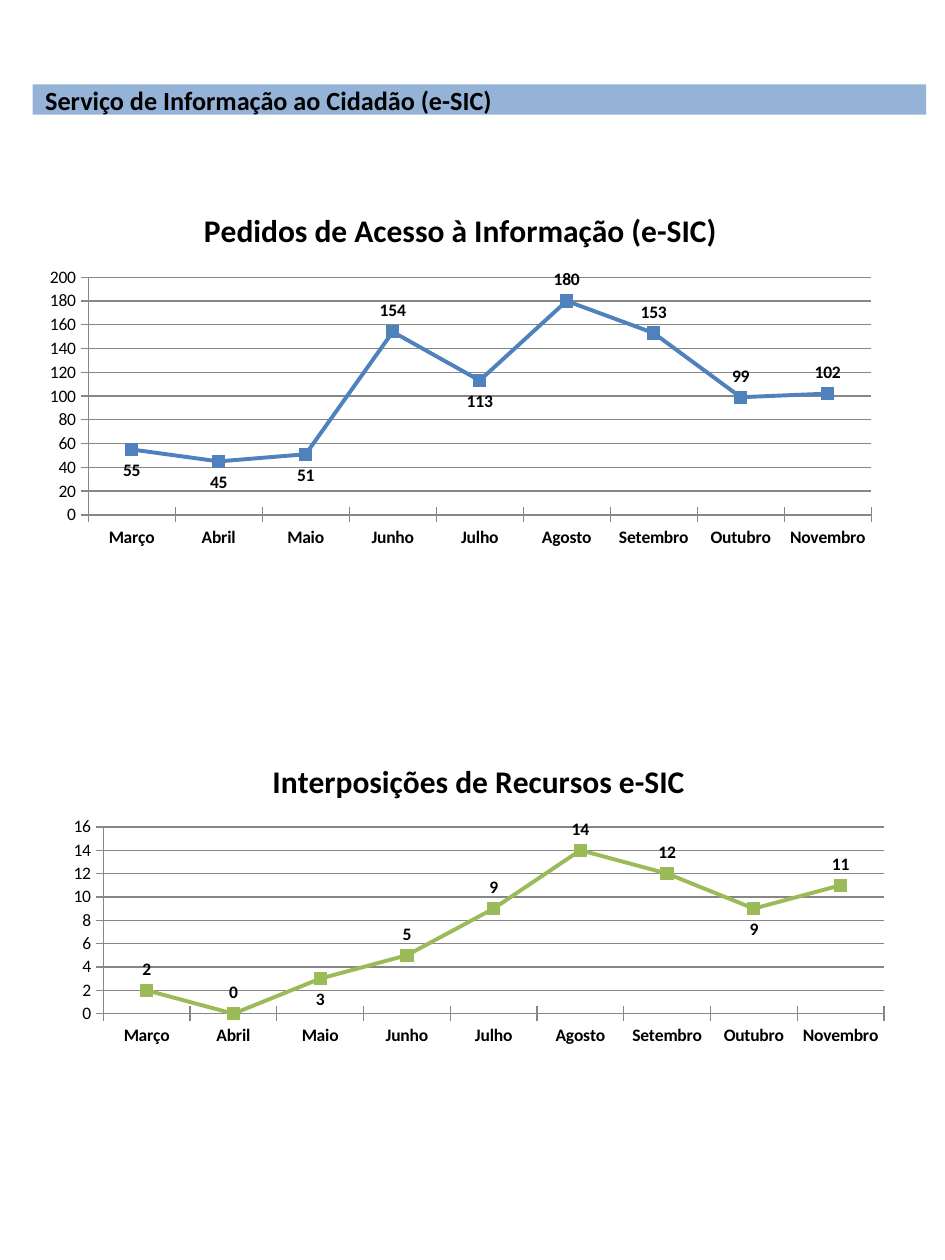
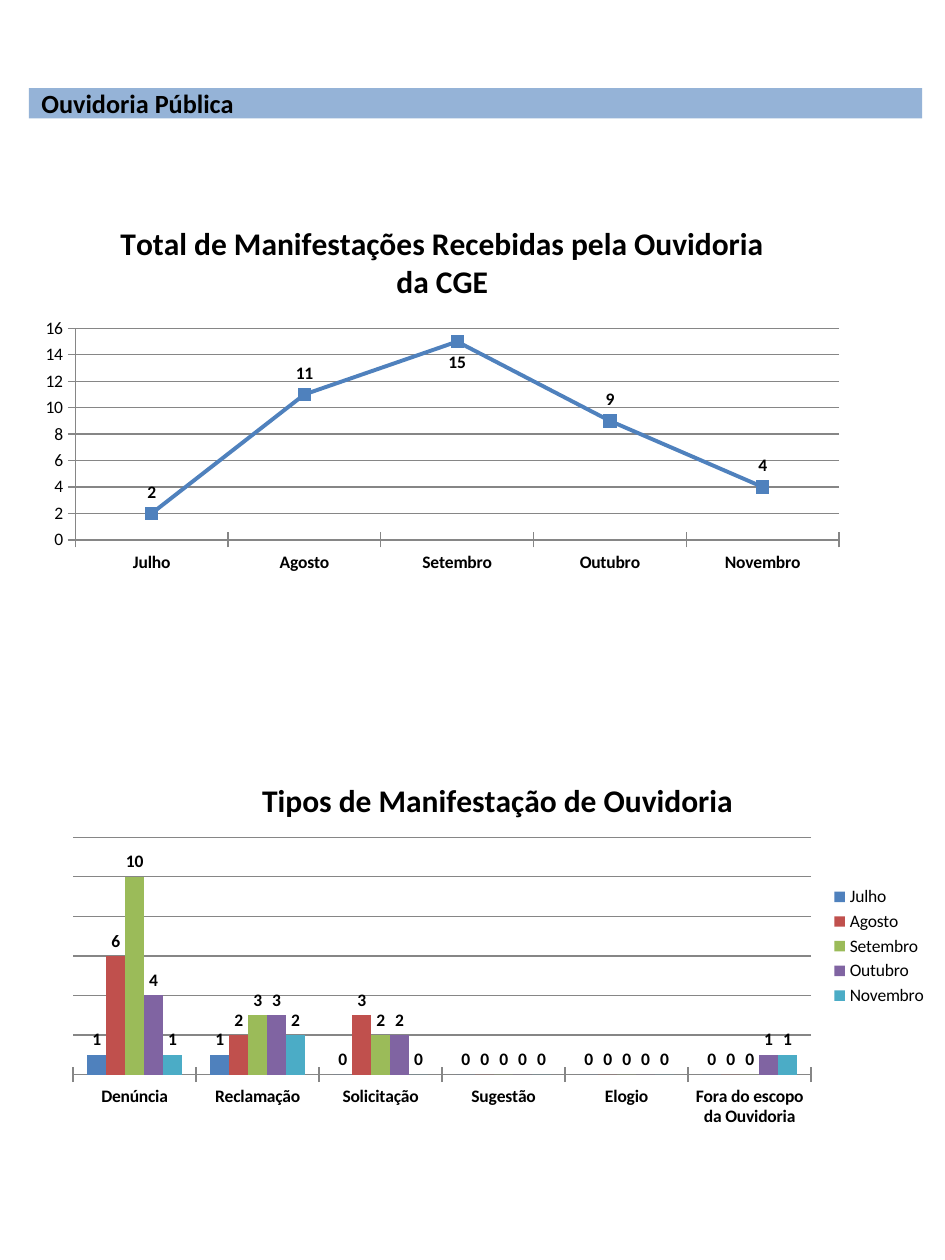
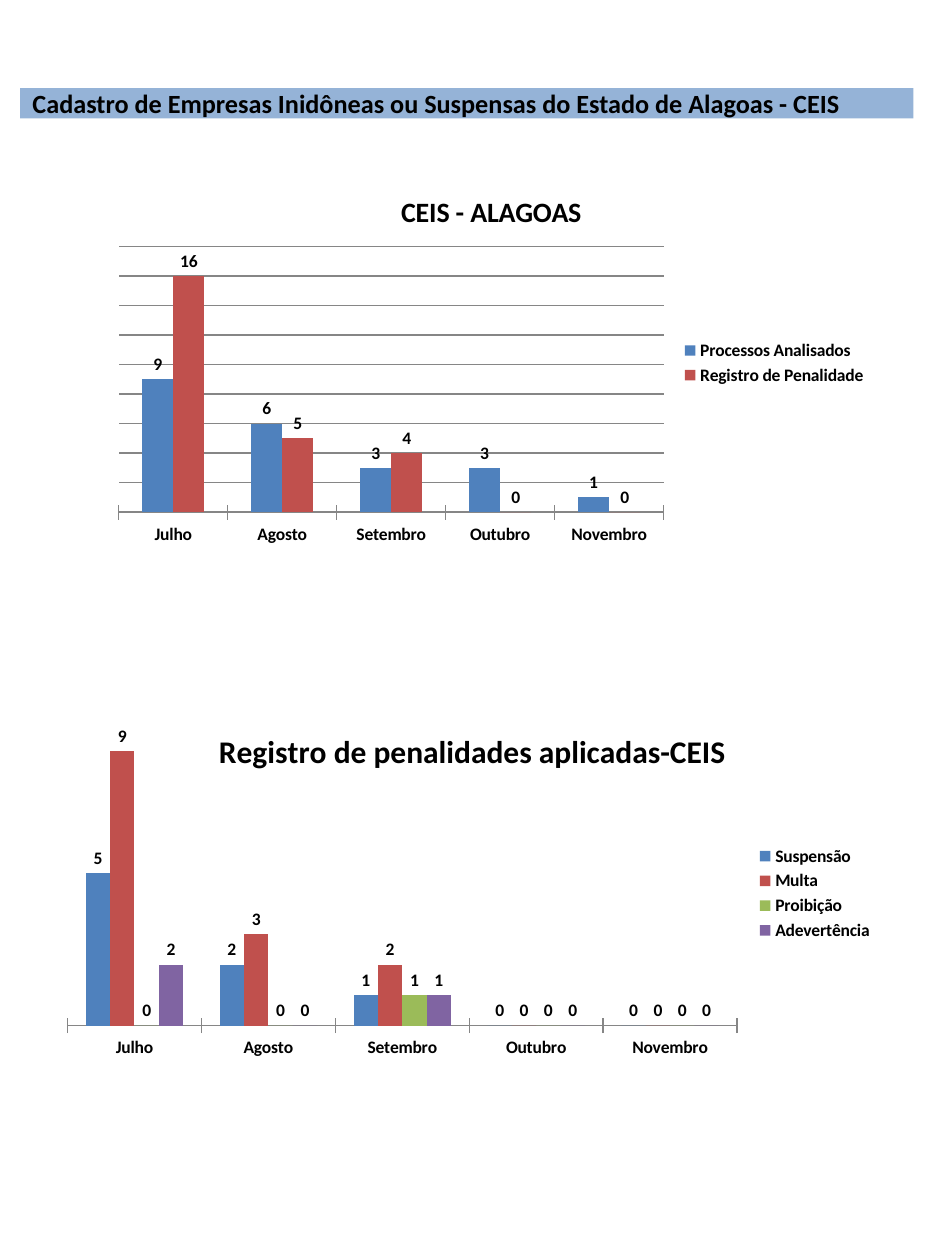
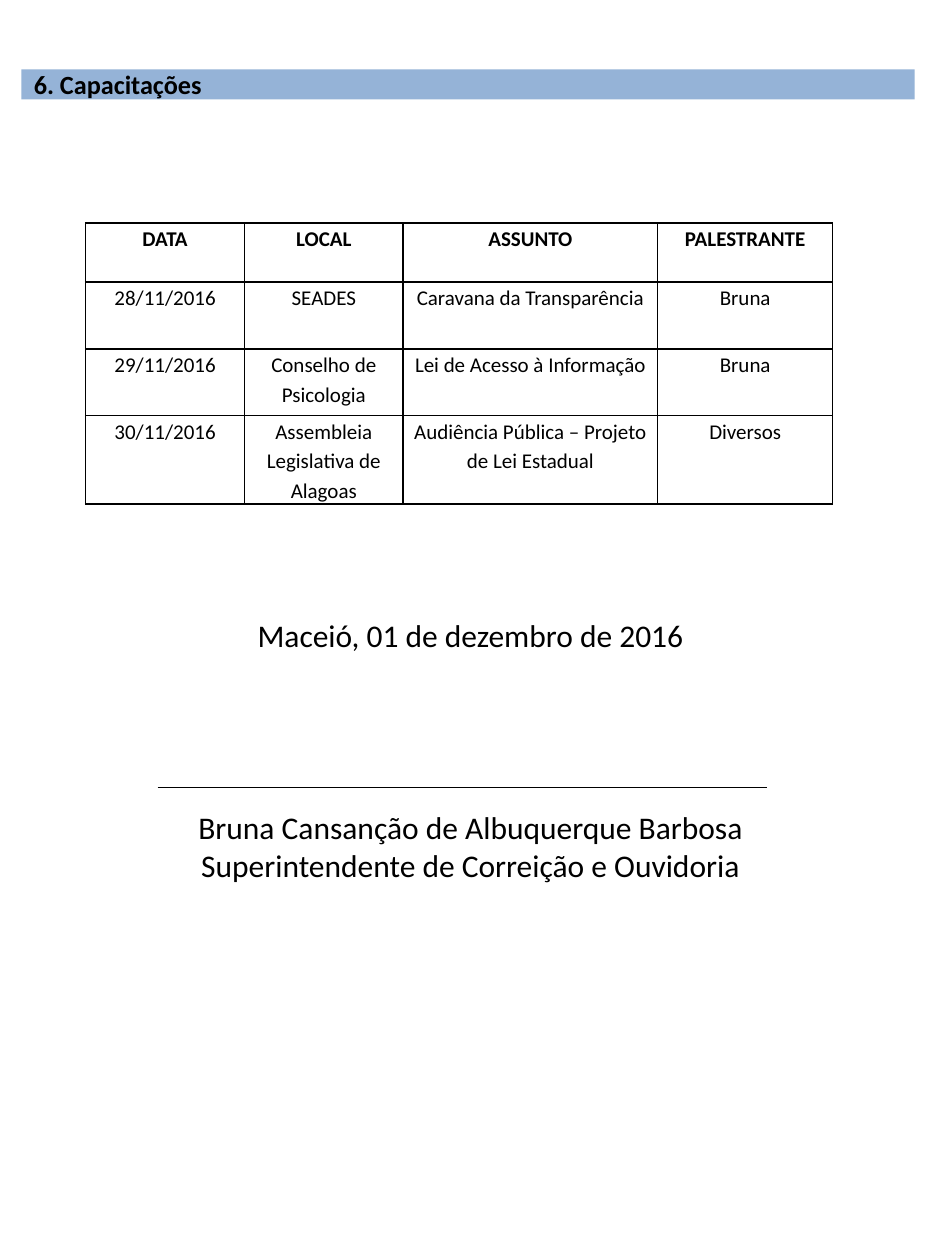
import pptx
import pptx.util
import pptx.dml.color
import pptx.chart.data
import pptx.enum.chart
import pptx.enum.shapes
import pptx.enum.text
import pptx.oxml
import pptx.oxml.ns

WIDTH, HEIGHT = 7.5, 10
FONT, BLACK, BAND, GRID = "Calibri", "000000", "95B3D7", "868686"
BLUE, RED, GREEN, PURPLE, AQUA = "4F81BD", "C0504D", "9BBB59", "8064A2", "4BACC6"
PALETTE = [BLUE, RED, GREEN, PURPLE, AQUA]

MONTHS = ["Março", "Abril", "Maio", "Junho", "Julho", "Agosto", "Setembro", "Outubro", "Novembro"]
RECENT = MONTHS[4:]

# placeholder
REPORT = [
    {
        "band": ("Serviço de Informação ao Cidadão (e-SIC)", 3.47, 6.7),
        "charts": [
            {"kind": "LINE_MARKERS", "at": (3.47, 15, 90.53, 29), "scale": (200, 20),
             "title": "Pedidos de Acesso à Informação (e-SIC)", "categories": MONTHS,
             "series": {"Pedidos de Acesso à Informação (e-SIC)": [55, 45, 51, 154, 113, 180, 153, 99, 102]},
             "label_sides": "bbbabaaaa"},
            {"kind": "LINE_MARKERS_STACKED", "at": (6, 58.8, 89.33, 24.7), "scale": (16, 2),
             "title": "Interposições de Recursos e-SIC", "categories": MONTHS,
             "series": {"Interposições de Recursos e-SIC": [2, 0, 3, 5, 9, 14, 12, 9, 11]},
             "label_sides": "aabaaaaba", "colors": [GREEN]},
        ],
    },
    {
        "band": ("Ouvidoria Pública", 3.07, 7),
        "charts": [
            {"kind": "LINE_MARKERS_STACKED", "at": (3.07, 16, 87.47, 30), "scale": (16, 2),
             "title": "Total de Manifestações Recebidas pela Ouvidoria da CGE", "categories": RECENT,
             "series": {"Total de Manifestações Recebidas pela Ouvidoria da CGE": [2, 11, 15, 9, 4]},
             "label_sides": "aabaa"},
            {"kind": "COLUMN_CLUSTERED", "at": (5.87, 60.2, 93.6, 29.8), "scale": (12, 2),
             "title": "Tipos de Manifestação de Ouvidoria",
             "categories": ["Denúncia", "Reclamação", "Solicitação", "Sugestão", "Elogio",
                            "Fora do escopo da Ouvidoria"],
             "series": {"Julho": [1, 1, 0, 0, 0, 0], "Agosto": [6, 2, 3, 0, 0, 0],
                        "Setembro": [10, 3, 2, 0, 0, 0], "Outubro": [4, 3, 2, 0, 0, 1],
                        "Novembro": [1, 2, 0, 0, 0, 1]},
             "legend_bold": False},
        ],
    },
    {
        "band": ("Cadastro de Empresas Inidôneas ou Suspensas do Estado de Alagoas - CEIS", 2.13, 7),
        "charts": [
            {"kind": "COLUMN_CLUSTERED", "at": (10.93, 13.8, 82.13, 30), "scale": (18, 2),
             "title": "CEIS - ALAGOAS", "title_size": 16, "categories": RECENT,
             "series": {"Processos Analisados": [9, 6, 3, 3, 1],
                        "Registro de Penalidade": [16, 5, 4, 0, 0]}},
            {"kind": "COLUMN_CLUSTERED", "at": (6.27, 56.3, 87.47, 29.2), "scale": (10, 1),
             "title": "Registro de penalidades aplicadas-CEIS", "categories": RECENT,
             "series": {"Suspensão": [5, 2, 1, 0, 0], "Multa": [9, 3, 2, 0, 0],
                        "Proibição": [0, 0, 1, 0, 0], "Adevertência": [2, 0, 1, 0, 0]},
             "gridlines": False, "plot_area": {"x": 0.01, "y": 0.03, "w": 0.81, "h": 0.83}},
        ],
    },
    {"band": ("6. Capacitações", 2.27, 5.5), "charts": []},
]

TRAINING = [
    ("DATA", "LOCAL", "ASSUNTO", "PALESTRANTE"),
    ("28/11/2016", "SEADES", "Caravana da Transparência", "Bruna"),
    ("29/11/2016", "Conselho de Psicologia", "Lei de Acesso à Informação", "Bruna"),
    ("30/11/2016", "Assembleia Legislativa de Alagoas", "Audiência Pública – Projeto de Lei Estadual",
     "Diversos"),
]
TRAINING_AT = (9.07, 17.7, 79.2, 20.6)
COLUMN_SHARES = (16.8, 16.8, 26.93, 18.53)
ROW_SHARES = (4.7, 5.3, 5.3, 5.3)
CLOSING = [
    ("Maceió, 01 de dezembro de 2016", 0),
    ("Bruna Cansanção de Albuquerque Barbosa", 88),
    ("Superintendente de Correição e Ouvidoria", 0),
]
CLOSING_AT = (11.47, 48.4, 76.67, 22.2)
SIGNATURE_LINE = (16.67, 62.5, 81.2, 62.5)


def color(value):
    return pptx.dml.color.RGBColor.from_string(value)


def across(percent):
    return pptx.util.Inches(WIDTH * percent / 100)


def down(percent):
    return pptx.util.Inches(HEIGHT * percent / 100)


def place(box):
    return [across(box[0]), down(box[1]), across(box[2]), down(box[3])]


def format_font(font, size=10, bold=False):
    font.name, font.size, font.bold = FONT, pptx.util.Pt(size), bold
    font.color.rgb = color(BLACK)


def write(frame, text, size=10, bold=False, align=None, before=0, after=0, spacing=None, first=True):
    paragraph = frame.paragraphs[0] if first else frame.add_paragraph()
    run = paragraph.add_run()
    run.text = text
    format_font(run.font, size, bold)
    if align:
        paragraph.alignment = getattr(pptx.enum.text.PP_ALIGN, align)
    if before:
        paragraph.space_before = pptx.util.Pt(before)
    if after:
        paragraph.space_after = pptx.util.Pt(after)
    if spacing:
        paragraph.line_spacing = spacing


def add_band(slide, text, left, top):
    shape = slide.shapes.add_shape(pptx.enum.shapes.MSO_SHAPE.RECTANGLE, *place((left, top, 94.53, 2.4)))
    shape.shadow.inherit = False
    shape.fill.solid()
    shape.fill.fore_color.rgb = color(BAND)
    shape.line.fill.background()
    shape.text_frame.word_wrap = True
    shape.text_frame.vertical_anchor = pptx.enum.text.MSO_ANCHOR.MIDDLE
    write(shape.text_frame, text, size=15, bold=True, align="LEFT")


def set_line(line, value, width):
    line.color.rgb = color(value)
    line.width = pptx.util.Pt(width)


def style_axes(chart, maximum, step, gridlines, visible):
    for axis in (chart.category_axis, chart.value_axis):
        axis.major_tick_mark = pptx.enum.chart.XL_TICK_MARK.CROSS
        set_line(axis.format.line, GRID, 0.75)
    format_font(chart.category_axis.tick_labels.font, bold=True)
    axis = chart.value_axis
    axis.minimum_scale, axis.maximum_scale, axis.major_unit = 0, maximum, step
    axis.visible = visible
    axis.has_major_gridlines = gridlines
    if gridlines:
        set_line(axis.major_gridlines.format.line, GRID, 0.75)


def style_line(series, value, label_sides):
    series.smooth = False
    set_line(series.format.line, value, 2.25)
    series.marker.style = pptx.enum.chart.XL_MARKER_STYLE.SQUARE
    series.marker.size = 7
    series.marker.format.fill.solid()
    series.marker.format.fill.fore_color.rgb = color(value)
    series.marker.format.line.color.rgb = color(value)
    positions = pptx.enum.chart.XL_LABEL_POSITION
    for index, side in enumerate(label_sides):
        label = series.points[index].data_label
        format_font(label.font, bold=True)
        label.position = positions.ABOVE if side == "a" else positions.BELOW


def set_plot_area(chart, shares):
    area = chart.element.chart.plotArea
    for layout in area.findall(pptx.oxml.ns.qn("c:layout")):
        area.remove(layout)
    modes = "".join(f'<c:{side}Mode val="edge"/>' for side in "xy")
    sizes = "".join(f'<c:{side} val="{share}"/>' for side, share in shares.items())
    area.insert(0, pptx.oxml.parse_xml(
        f'<c:layout {pptx.oxml.ns.nsdecls("c")}><c:manualLayout><c:layoutTarget val="inner"/>'
        f'{modes}{sizes}</c:manualLayout></c:layout>'))


def add_chart(slide, kind, at, scale, title, categories, series, title_size=18, label_sides="",
              colors=PALETTE, legend_bold=True, gridlines=True, plot_area=None):
    data = pptx.chart.data.CategoryChartData()
    data.categories = categories
    for name, values in series.items():
        data.add_series(name, values)
    chart_type = getattr(pptx.enum.chart.XL_CHART_TYPE, kind)
    chart = slide.shapes.add_chart(chart_type, *place(at), data).chart
    format_font(chart.font)
    chart.has_title = True
    write(chart.chart_title.text_frame, title, size=title_size, bold=True)
    is_line = bool(label_sides)
    style_axes(chart, *scale, gridlines, is_line)
    plot = chart.plots[0]
    plot.vary_by_categories = False
    for item, value in zip(plot.series, colors):
        item.data_labels.show_value = True
        format_font(item.data_labels.font, bold=True)
        if is_line:
            style_line(item, value, label_sides)
        else:
            item.format.fill.solid()
            item.format.fill.fore_color.rgb = color(value)
    chart.has_legend = not is_line
    if not is_line:
        plot.gap_width, plot.overlap = 150, 0
        chart.legend.position = pptx.enum.chart.XL_LEGEND_POSITION.RIGHT
        chart.legend.include_in_layout = False
        format_font(chart.legend.font, bold=legend_bold)
    if plot_area:
        set_plot_area(chart, plot_area)


def style_cell(cell):
    cell.margin_left = cell.margin_right = pptx.util.Inches(0.04)
    cell.margin_top = cell.margin_bottom = 0
    properties = cell._tc.get_or_add_tcPr()
    for side in "LRTB":
        properties.append(pptx.oxml.parse_xml(
            f'<a:ln{side} {pptx.oxml.ns.nsdecls("a")} w="12700"><a:solidFill>'
            f'<a:srgbClr val="{BLACK}"/></a:solidFill></a:ln{side}>'))
    cell.fill.background()


def add_training_table(slide):
    table = slide.shapes.add_table(len(TRAINING), len(COLUMN_SHARES), *place(TRAINING_AT)).table
    table.first_row = table.horz_banding = False
    for column, share in zip(table.columns, COLUMN_SHARES):
        column.width = across(share)
    for index, (row, share) in enumerate(zip(table.rows, ROW_SHARES)):
        row.height = down(share)
        for cell, text in zip(row.cells, TRAINING[index]):
            style_cell(cell)
            write(cell.text_frame, text, size=12, bold=index == 0, align="CENTER", after=10, spacing=1.15)


def add_closing(slide):
    frame = slide.shapes.add_textbox(*place(CLOSING_AT)).text_frame
    frame.word_wrap = True
    for index, (text, before) in enumerate(CLOSING):
        write(frame, text, size=18, align="CENTER", before=before, first=index == 0)
    line = slide.shapes.add_connector(pptx.enum.shapes.MSO_CONNECTOR.STRAIGHT, *place(SIGNATURE_LINE))
    set_line(line.line, BLACK, 0.75)
    line._element.spPr.append(pptx.oxml.parse_xml(f'<a:effectLst {pptx.oxml.ns.nsdecls("a")}/>'))


def main():
    presentation = pptx.Presentation()
    presentation.slide_width = pptx.util.Inches(WIDTH)
    presentation.slide_height = pptx.util.Inches(HEIGHT)
    for page in REPORT:
        slide = presentation.slides.add_slide(presentation.slide_layouts[6])
        add_band(slide, *page["band"])
        for chart in page["charts"]:
            add_chart(slide, **chart)
    add_training_table(slide)
    add_closing(slide)
    presentation.save("out.pptx")


if __name__ == "__main__":
    main()
